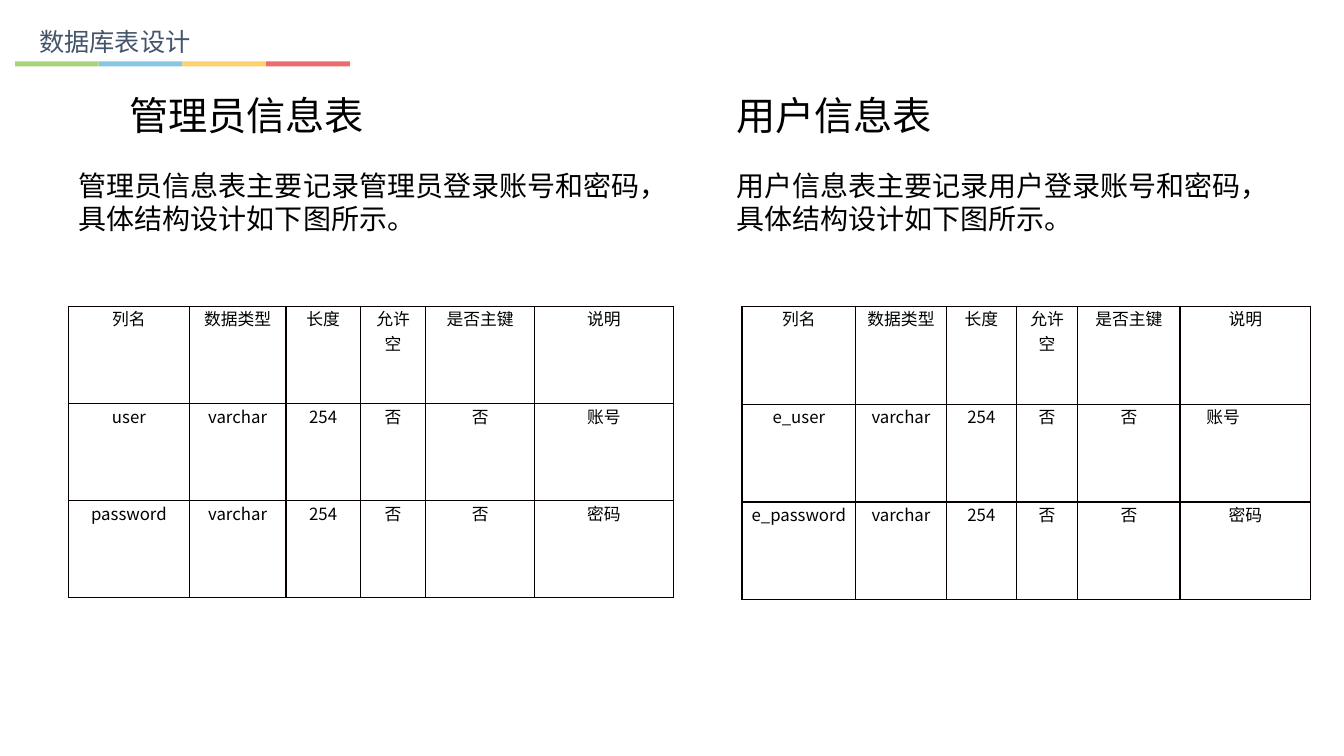
from lxml import etree
from pptx import Presentation
from pptx.dml.color import RGBColor
from pptx.enum.shapes import MSO_SHAPE
from pptx.enum.text import MSO_ANCHOR, MSO_AUTO_SIZE, PP_ALIGN
from pptx.oxml.ns import qn
from pptx.util import Inches, Pt

RECT = MSO_SHAPE.RECTANGLE
TOP = MSO_ANCHOR.TOP
NO_FIT = MSO_AUTO_SIZE.NONE
LEFT, CENTER = PP_ALIGN.LEFT, PP_ALIGN.CENTER
CJK = "Noto Sans CJK SC"
BAR_COLORS = ("A8D37A", "87C7E3", "FED16C", "ED6B6D")
COL_WEIGHTS = (1.2, 0.96, 0.74, 0.65, 1.08, 1.38)
HEADER = ("列名", "数据类型", "长度", "允许空", "是否主键", "说明")
ADMIN_ROWS = (HEADER,
              ("user", "varchar", "254", "否", "否", "账号"),
              ("password", "varchar", "254", "否", "否", "密码"))
USER_ROWS = (HEADER,
             ("e_user", "varchar", "254", "否", "否", "账号"),
             ("e_password", "varchar", "254", "否", "否", "密码"))


def rgb(color):
    """Turn a hex string into a colour."""
    return RGBColor.from_string(color)


def write(tf, text, size=12, font=CJK, color="000000", align=LEFT, spacing=None):
    """Write one formatted, unbulleted paragraph into a text frame."""
    p = tf.paragraphs[0]
    p.alignment = align
    p.space_before = Pt(0)
    if spacing:
        p.line_spacing = spacing
    pPr = p._p.get_or_add_pPr()
    pPr.set("marL", "0")
    pPr.set("indent", "0")
    etree.SubElement(pPr, qn("a:buNone"))
    r = p.add_run()
    r.text = text
    r.font.size = Pt(size)
    r.font.bold = False
    r.font.name = font
    r.font.color.rgb = rgb(color)
    if font == CJK:
        etree.SubElement(r._r.get_or_add_rPr(), qn("a:ea"), typeface=font)


def fill_placeholder(sp, text, x, y, w, h, **fmt):
    """Move a placeholder to a box and write its text."""
    sp.left, sp.top, sp.width, sp.height = map(Inches, (x, y, w, h))
    tf = sp.text_frame
    tf.auto_size = NO_FIT
    tf.word_wrap = True
    tf.vertical_anchor = TOP
    write(tf, text, **fmt)


def draw_borders(cell, color="080000", width=1):
    """Line all four sides of a table cell."""
    tcPr = cell._tc.get_or_add_tcPr()
    for side in ("lnL", "lnR", "lnT", "lnB"):
        ln = etree.SubElement(tcPr, qn(f"a:{side}"), w=str(Pt(width)))
        solid = etree.SubElement(ln, qn("a:solidFill"))
        etree.SubElement(solid, qn("a:srgbClr"), val=color)


def add_field_table(s, rows, x, y, w, h, left_cell=None):
    """Draw a bordered table of database fields."""
    frame = s.shapes.add_table(len(rows), len(HEADER), *map(Inches, (x, y, w, h)))
    table = frame.table
    table.first_row = table.horz_banding = False
    for col, weight in zip(table.columns, COL_WEIGHTS):
        col.width = Inches(w * weight / sum(COL_WEIGHTS))
    for i, row in enumerate(rows):
        for j, text in enumerate(row):
            cell = table.cell(i, j)
            shifted = (i, j) == left_cell
            cell.margin_left = Inches(0.26 if shifted else 0.08)
            cell.margin_right = Inches(0.08)
            cell.margin_top = cell.margin_bottom = 0
            draw_borders(cell)
            cell.fill.background()
            write(cell.text_frame, text, align=LEFT if shifted else CENTER)


def add_title(s, text, x, y, w, h):
    """Place the title above its four-colour bar."""
    fill_placeholder(s.shapes.title, text, x + 0.14, y, 0.6 * w, h - 0.05,
                     size=18, color="44546A", spacing=1.5)
    part = w / len(BAR_COLORS)
    for i, color in enumerate(BAR_COLORS):
        sp = s.shapes.add_shape(RECT, *map(Inches, (x + i * part, y + h - 0.05, part, 0.05)))
        sp.shadow.inherit = False
        sp.fill.solid()
        sp.fill.fore_color.rgb = rgb(color)
        sp.line.fill.background()


def add_panel(s, slots, heading, note, rows, x, y, w, h,
              heading_dx=0, table_dx=0, left_cell=None):
    """Stack a heading, a note and a field table in one column."""
    head, body = (s.placeholders[slot] for slot in slots)
    fill_placeholder(head, heading, x + heading_dx, y, 0.79 * w, 0.57,
                     size=28, font="Arial")
    fill_placeholder(body, note, x, y + 0.76, w, 0.77, size=20, font="Calibri")
    add_field_table(s, rows, x + table_dx, y + 2.18, w, h - 2.18, left_cell)


def main():
    """Build and save the slide."""
    prs = Presentation()
    prs.slide_width, prs.slide_height = Inches(13.33), Inches(7.5)
    s = prs.slides.add_slide(prs.slide_layouts.get_by_name("Comparison"))
    add_title(s, "数据库表设计", 0.15, 0.06, 3.32, 0.6)
    add_panel(s, (1, 2), "管理员信息表",
              "管理员信息表主要记录管理员登录账号和密码，具体结构设计如下图所示。",
              ADMIN_ROWS, 0.68, 0.86, 6, 5.07, heading_dx=0.5)
    add_panel(s, (3, 4), "用户信息表",
              "用户信息表主要记录用户登录账号和密码，具体结构设计如下图所示。",
              USER_ROWS, 7.2, 0.86, 5.64, 5.09, table_dx=0.16, left_cell=(1, 5))
    prs.save("out.pptx")


if __name__ == "__main__":
    main()
